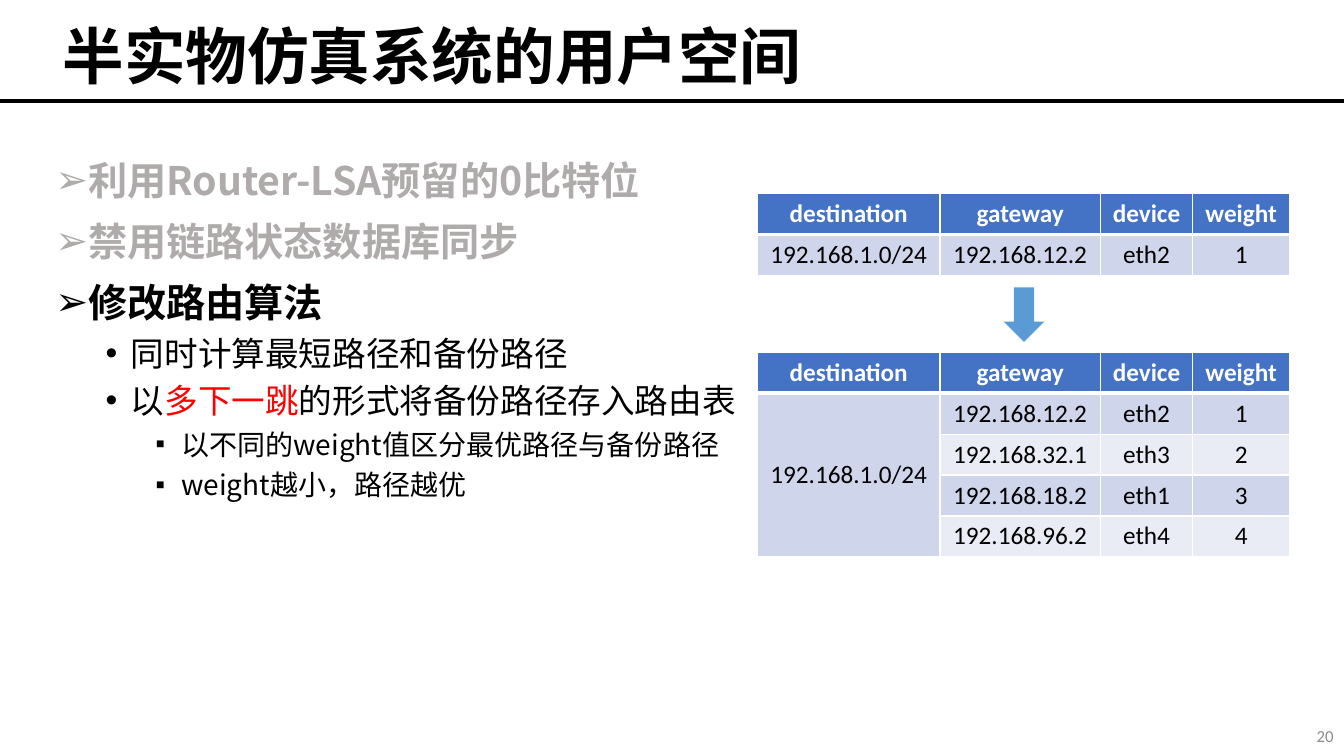
from lxml.etree import SubElement
from pptx import Presentation
from pptx.dml.color import RGBColor
from pptx.enum.shapes import MSO_CONNECTOR, MSO_SHAPE
from pptx.enum.text import MSO_ANCHOR, MSO_AUTO_SIZE, PP_ALIGN
from pptx.oxml.ns import qn
from pptx.util import Cm, Pt

BLACK = RGBColor(0x00, 0x00, 0x00)
WHITE = RGBColor(0xFF, 0xFF, 0xFF)
RED = RGBColor(0xFF, 0x00, 0x00)
MUTED = RGBColor(0xAF, 0xAB, 0xAB)
PAGE_GREY = RGBColor(0x8C, 0x8C, 0x8C)
HEADER_BLUE = RGBColor(0x44, 0x72, 0xC4)
ARROW_BLUE = RGBColor(0x5B, 0x9B, 0xD5)
BANDS = [RGBColor(0xCF, 0xD5, 0xEA), RGBColor(0xE9, 0xEB, 0xF5)]
CJK_FONT = "Noto Sans CJK SC"

TITLE = "半实物仿真系统的用户空间"
PAGE = "20"
POINTS = [
    (0, [("利用Router-LSA预留的0比特位", MUTED)]),
    (0, [("禁用链路状态数据库同步", MUTED)]),
    (0, [("修改路由算法", BLACK)]),
    (1, [("同时计算最短路径和备份路径", BLACK)]),
    (1, [("以", BLACK), ("多下一跳", RED), ("的形式将备份路径存入路由表", BLACK)]),
    (2, [("以不同的weight值区分最优路径与备份路径", BLACK)]),
    (2, [("weight越小，路径越优", BLACK)]),
]
LEVELS = [
    {"size": 28, "before": 10, "bullet": "➢", "scale": 100},
    {"size": 24, "before": 5, "bullet": "•", "scale": 100},
    {"size": 20, "before": 5, "bullet": "■", "scale": 50},
]
HEADER = ["destination", "gateway", "device", "weight"]
DESTINATION = "192.168.1.0/24"
SINGLE_HOP = [("192.168.12.2", "eth2", "1")]
MULTI_HOP = SINGLE_HOP + [
    ("192.168.32.1", "eth3", "2"),
    ("192.168.18.2", "eth1", "3"),
    ("192.168.96.2", "eth4", "4"),
]
COLUMNS = [4.6, 4.04, 2.33, 2.44]
ROW_HEIGHT = 1.03
TABLE_LEFT = 19.09


def add_run(p, text, size, color, font, bold=False):
    r = p.add_run()
    r.text = text
    r.font.size = Pt(size)
    r.font.bold = bold
    r.font.name = font
    r.font.color.rgb = color
    SubElement(r.font._element, qn("a:ea"), typeface=CJK_FONT)


def place(shape, left, top, width, height):
    shape.left, shape.top = Cm(left), Cm(top)
    shape.width, shape.height = Cm(width), Cm(height)


def set_bullet(p, level, style):
    pPr = p._p.get_or_add_pPr()
    pPr.set("marL", str(Cm(0.635 + 1.27 * level)))
    pPr.set("indent", str(-Cm(0.635)))
    SubElement(pPr, qn("a:buSzPct"), val=str(style["scale"] * 1000))
    SubElement(pPr, qn("a:buFont"), typeface="Arial")
    SubElement(pPr, qn("a:buChar"), char=style["bullet"])


def style_cell(cell, fill, bottom):
    tcPr = cell._tc.get_or_add_tcPr()
    for side, width in (("L", 1), ("R", 1), ("T", 1), ("B", bottom)):
        ln = SubElement(tcPr, qn(f"a:ln{side}"), w=str(Pt(width)))
        SubElement(SubElement(ln, qn("a:solidFill")), qn("a:srgbClr"), val=str(WHITE))
    cell.fill.solid()
    cell.fill.fore_color.rgb = fill


def add_routes(s, top, hops):
    rows = [HEADER] + [(DESTINATION if i == 0 else "", *hop) for i, hop in enumerate(hops)]
    table = s.shapes.add_table(
        len(rows), len(HEADER), Cm(TABLE_LEFT), Cm(top),
        Cm(sum(COLUMNS)), Cm(ROW_HEIGHT * len(rows)),
    ).table
    table.horz_banding = False
    for column, width in zip(table.columns, COLUMNS):
        column.width = Cm(width)
    for i, row in enumerate(rows):
        table.rows[i].height = Cm(ROW_HEIGHT)
        header = i == 0
        for j, text in enumerate(row):
            cell = table.cell(i, j)
            fill = HEADER_BLUE if header else BANDS[(i - 1) % 2 if j else 0]
            style_cell(cell, fill, 3 if header else 1)
            if text:
                p = cell.text_frame.paragraphs[0]
                p.alignment = PP_ALIGN.CENTER
                add_run(p, text, 18, WHITE if header else BLACK, "Calibri", header)
    if len(hops) > 1:
        table.cell(1, 0).merge(table.cell(len(hops), 0))
        table.cell(1, 0).vertical_anchor = MSO_ANCHOR.MIDDLE


def main():
    prs = Presentation()
    prs.slide_width, prs.slide_height = Cm(33.87), Cm(19.05)
    s = prs.slides.add_slide(prs.slide_layouts[1])

    rule = s.shapes.add_connector(MSO_CONNECTOR.STRAIGHT, 0, Cm(2.54), prs.slide_width, Cm(2.54))
    rule.line.color.rgb = BLACK
    rule.line.width = Pt(3)
    SubElement(rule._element.spPr, qn("a:effectLst"))

    title = s.shapes.title
    place(title, 1.32, 0.25, 21.23, 2.49)
    tf = title.text_frame
    tf.auto_size = MSO_AUTO_SIZE.NONE
    tf.vertical_anchor = MSO_ANCHOR.MIDDLE
    p = tf.paragraphs[0]
    p.alignment = PP_ALIGN.LEFT
    p.line_spacing = 0.9
    add_run(p, TITLE, 44, BLACK, "Arial", True)

    body = s.placeholders[1]
    place(body, 1.14, 3.81, 17.96, 14.27)
    tf = body.text_frame
    tf.auto_size = MSO_AUTO_SIZE.NONE
    for i, (level, runs) in enumerate(POINTS):
        style = LEVELS[level]
        p = tf.add_paragraph() if i else tf.paragraphs[0]
        p.level = level
        p.line_spacing = 1.0
        p.space_before = Pt(style["before"])
        set_bullet(p, level, style)
        for text, color in runs:
            add_run(p, text, style["size"], color, CJK_FONT, level == 0)

    number = s.shapes.add_textbox(Cm(26.24), Cm(18.03), Cm(7.62), Cm(1.02))
    tf = number.text_frame
    tf.word_wrap = True
    tf.vertical_anchor = MSO_ANCHOR.MIDDLE
    p = tf.paragraphs[0]
    p.alignment = PP_ALIGN.RIGHT
    add_run(p, PAGE, 12, PAGE_GREY, "Calibri")

    add_routes(s, 4.88, SINGLE_HOP)
    add_routes(s, 8.88, MULTI_HOP)

    arrow = s.shapes.add_shape(MSO_SHAPE.RIGHT_ARROW, Cm(25.12), Cm(7.42), Cm(1.37), Cm(1.02))
    arrow.rotation = 90
    arrow.shadow.inherit = False
    arrow.fill.solid()
    arrow.fill.fore_color.rgb = ARROW_BLUE
    arrow.line.fill.background()

    prs.save("out.pptx")


if __name__ == "__main__":
    main()
